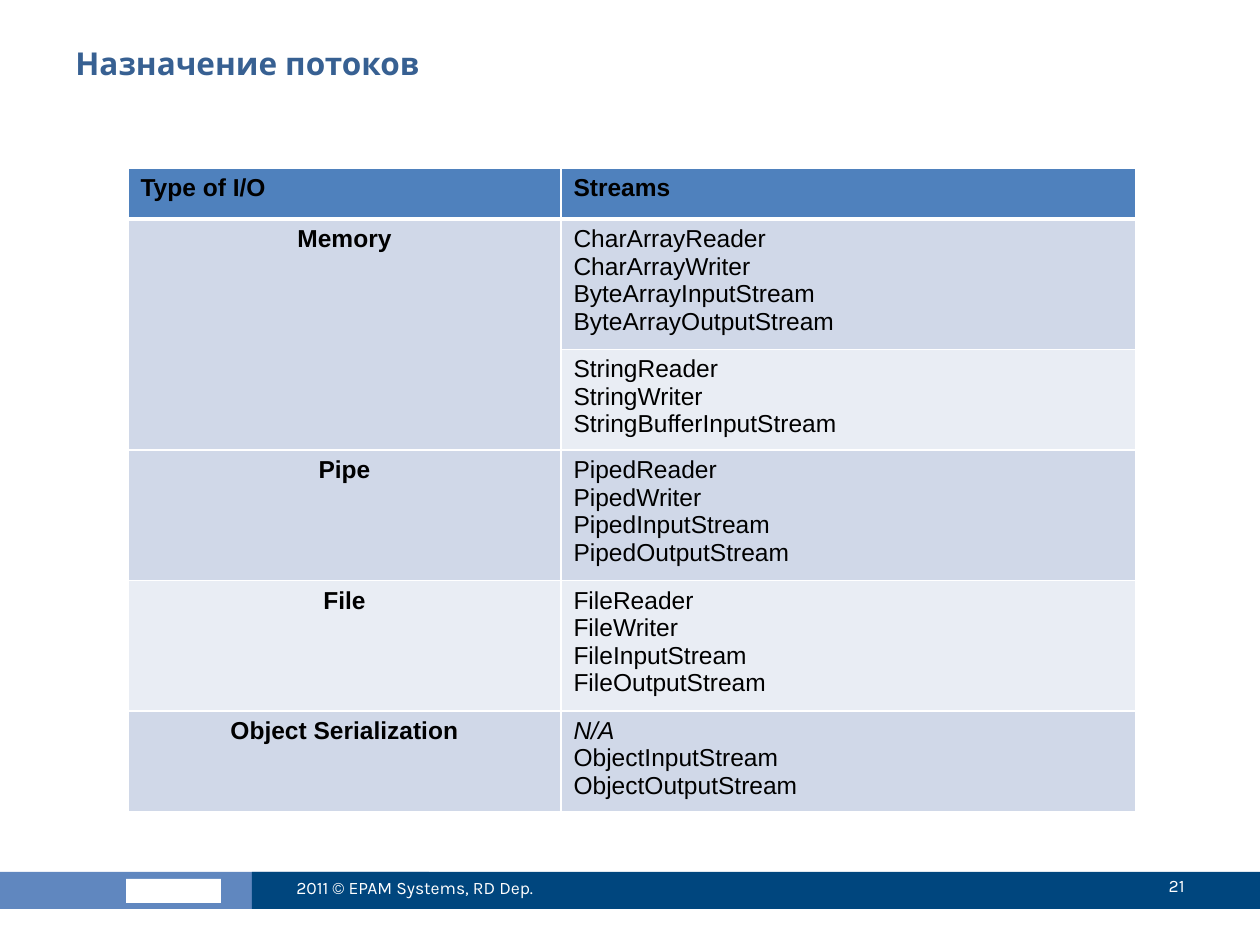
from lxml import etree
from pptx import Presentation
from pptx.dml.color import RGBColor
from pptx.enum.shapes import MSO_SHAPE as SHAPE
from pptx.enum.text import MSO_ANCHOR as ANCHOR, PP_ALIGN as ALIGN
from pptx.oxml.ns import qn
from pptx.util import Emu, Pt

EMU_PER_PX = 914400 / 126
WHITE, BLACK = "FFFFFF", "000000"
HEADER, BAND_DARK, BAND_LIGHT = "4F81BD", "D0D8E8", "E9EDF4"

COLUMNS = (433, 575)
# type of I/O (None continues the cell above), streams, fill, height
ROWS = [
    ("Type of I/O", "Streams", HEADER, 51),
    ("Memory", "CharArrayReader\nCharArrayWriter\nByteArrayInputStream\nByteArrayOutputStream",
     BAND_DARK, 122),
    (None, "StringReader\nStringWriter\nStringBufferInputStream", BAND_LIGHT, 95),
    ("Pipe", "PipedReader\nPipedWriter\nPipedInputStream\nPipedOutputStream", BAND_DARK, 122),
    ("File", "FileReader\nFileWriter\nFileInputStream\nFileOutputStream", BAND_LIGHT, 122),
    ("Object Serialization", "N/A\nObjectInputStream\vObjectOutputStream", BAND_DARK, 95),
]


def px(n):
    return Emu(round(n * EMU_PER_PX))


def rgb(color):
    return RGBColor.from_string(color)


def style(p, color, align=ALIGN.LEFT, **font):
    """Format a paragraph and each of its runs."""
    p.alignment = align
    for r in p.runs:
        r.font.color.rgb = rgb(color)
        for name, value in font.items():
            setattr(r.font, name, value)


def add_text(s, box, text, color, anchor=ANCHOR.MIDDLE, align=ALIGN.LEFT, **font):
    tf = s.shapes.add_textbox(*map(px, box)).text_frame
    tf.word_wrap = True
    tf.vertical_anchor = anchor
    tf.text = text
    style(tf.paragraphs[0], color, align, name="Karla", **font)


def add_bar(s, box, color):
    sp = s.shapes.add_shape(SHAPE.RECTANGLE, *map(px, box))
    sp.shadow.inherit = False
    sp.fill.solid()
    sp.fill.fore_color.rgb = rgb(color)
    sp.line.fill.background()


def set_borders(cell, bottom):
    tc_pr = cell._tc.get_or_add_tcPr()
    for side, width in (("L", 1), ("R", 1), ("T", 1), ("B", bottom)):
        ln = etree.SubElement(tc_pr, qn(f"a:ln{side}"), w=str(Pt(width)))
        fill = etree.SubElement(ln, qn("a:solidFill"))
        etree.SubElement(fill, qn("a:srgbClr"), val=WHITE)


def fill_cell(cell, text, color, align, bold, header):
    set_borders(cell, 3 if header else 1)
    cell.fill.solid()
    cell.fill.fore_color.rgb = rgb(color)
    cell.text = text
    for p in cell.text_frame.paragraphs:
        style(p, BLACK, align, name="Arial", size=Pt(14), bold=bold, italic=p.text == "N/A")


def add_streams_table(s, x, y):
    height = sum(row[-1] for row in ROWS)
    frame = s.shapes.add_table(len(ROWS), len(COLUMNS), *map(px, (x, y, sum(COLUMNS), height)))
    table = frame.table
    table.horz_banding = False
    for column, width in zip(table.columns, COLUMNS):
        column.width = px(width)
    for i, (kind, streams, color, row_height) in enumerate(ROWS):
        header = i == 0
        table.rows[i].height = px(row_height)
        fill_cell(table.cell(i, 1), streams, color, ALIGN.LEFT, header, header)
        if kind is None:
            table.cell(i - 1, 0).merge(table.cell(i, 0))
        else:
            align = ALIGN.LEFT if header else ALIGN.CENTER
            fill_cell(table.cell(i, 0), kind, color, align, True, header)


def add_footer(s, y):
    add_bar(s, (-3, y, 432, 37), "6087BF")
    add_bar(s, (126, y + 7, 95, 24), WHITE)
    add_bar(s, (252, y, 1008, 37), "00467E")
    add_text(s, (284, y - 9, 336, 50), "2011 © EPAM Systems, RD Dep.", WHITE, size=Pt(10))
    add_text(s, (1061, y - 11, 136, 50), "21", WHITE, align=ALIGN.RIGHT, size=Pt(10))


def main():
    prs = Presentation()
    prs.slide_width, prs.slide_height = px(1260), px(945)
    s = prs.slides.add_slide(prs.slide_layouts[6])
    add_footer(s, 872)
    add_text(s, (63, 38, 1134, 98), "Назначение потоков", "376092", ANCHOR.TOP,
             size=Pt(18), bold=True)
    add_streams_table(s, 128, 168)
    prs.save("out.pptx")


if __name__ == "__main__":
    main()
